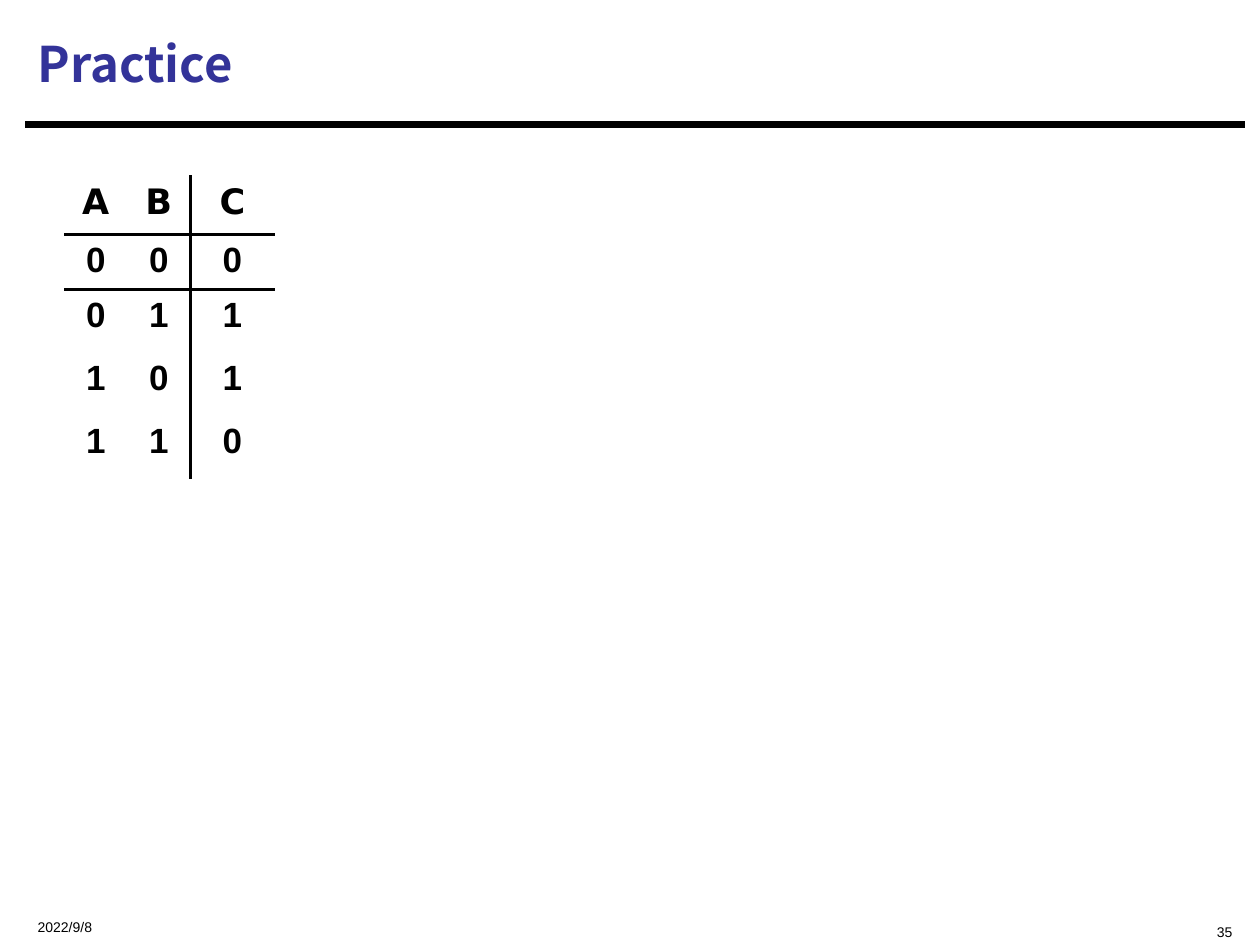
import pptx
import pptx.util
import pptx.dml.color
import pptx.enum.text
import pptx.oxml
import pptx.oxml.ns

Inches, Pt = pptx.util.Inches, pptx.util.Pt
Align, Anchor = pptx.enum.text.PP_ALIGN, pptx.enum.text.MSO_ANCHOR
WIDTH, HEIGHT = 10, 7.5
NO_STYLE = "{2D5ABB26-0587-4C30-8999-92F81FD0307C}"


def colour(value):
    return pptx.dml.color.RGBColor.from_string(value)


def apply(target, values):
    for name, value in values.items():
        setattr(target, name, value)


class Page:
    """The current slide and its style; places are shares of the slide's size."""

    ink, accent = "000000", "333399"
    rule_width, border_width = 3.75, 2.25
    title_font = {"name": "Noto Sans CJK SC", "size": Pt(28), "bold": True}
    footer_font = {"name": "Arial", "size": Pt(8), "bold": False}
    head_font = {"name": "DejaVu Sans", "size": Pt(20), "bold": True}
    cell_font = {"name": "Arial", "size": Pt(20), "bold": True}

    def __init__(self, deck):
        self.deck = deck
        self.slide = deck.slides.add_slide(deck.slide_layouts[5])

    def place(self, x, y, w, h):
        across, down = self.deck.slide_width, self.deck.slide_height
        return [int(part) for part in (x * across, y * down, w * across, h * down)]

    def add_text(self, para, text, font, ink, align=Align.LEFT):
        para.alignment = align
        span = para.add_run()
        span.text = text
        apply(span.font, font)
        span.font.color.rgb = colour(ink)

    def title(self, text, *area):
        box = self.slide.shapes.title
        apply(box, dict(zip(("left", "top", "width", "height"), self.place(*area))))
        apply(box.text_frame, {"vertical_anchor": Anchor.MIDDLE, "word_wrap": True})
        self.add_text(box.text_frame.paragraphs[0], text, self.title_font, self.accent)

    def rule(self, x, y, w):
        left, top, width, _ = self.place(x, y, w, 0)
        line = self.slide.shapes.add_connector(1, left, top, left + width, top)
        line.line.width = Pt(self.rule_width)
        line.line.color.rgb = colour(self.ink)
        line._element.spPr.append(pptx.oxml.parse_xml(
            f"<a:effectLst {pptx.oxml.ns.nsdecls('a')}/>"))

    def footer(self, text, area, inset, align=Align.LEFT):
        box = self.slide.shapes.add_textbox(*self.place(*area))
        apply(box.text_frame, {"word_wrap": True, "vertical_anchor": Anchor.TOP,
                               "margin_top": Inches(inset), "margin_bottom": 0})
        self.add_text(box.text_frame.paragraphs[0], text, self.footer_font, self.ink, align)

    def borders(self, cell, sides):
        for side in sides:
            cell._tc.get_or_add_tcPr().append(pptx.oxml.parse_xml(
                f"<a:ln{side} {pptx.oxml.ns.nsdecls('a')} w='{int(Pt(self.border_width))}'>"
                f"<a:solidFill><a:srgbClr val='{self.ink}'/></a:solidFill></a:ln{side}>"))

    def truth_table(self, rows, x, y, widths, heights):
        area = self.place(x, y, sum(widths) / WIDTH, sum(heights) / HEIGHT)
        frame = self.slide.shapes.add_table(len(rows), len(widths), *area)
        table = frame.table
        apply(table, {"first_row": False, "horz_banding": False})
        table._tbl.tblPr.find(pptx.oxml.ns.qn("a:tableStyleId")).text = NO_STYLE
        for column, width in zip(table.columns, widths):
            column.width = Inches(width)
        for row, height in zip(table.rows, heights):
            row.height = Inches(height)
        output = len(widths) - 1
        for r, values in enumerate(rows):
            for c, value in enumerate(values):
                cell = table.cell(r, c)
                # One line sets off the output column, one the header row
                edges = {"L": c == output, "R": c == output - 1, "T": r == 1, "B": r == 0}
                self.borders(cell, [side for side, shown in edges.items() if shown])
                cell.fill.background()
                self.add_text(cell.text_frame.paragraphs[0], value,
                              self.cell_font if r else self.head_font, self.ink, Align.CENTER)


def main():
    deck = pptx.Presentation()
    apply(deck, {"slide_width": Inches(WIDTH), "slide_height": Inches(HEIGHT)})
    page = Page(deck)

    # Heading
    page.rule(0.02, 0.99 / HEIGHT, 0.968)
    page.title("Practice", 0.02, 0.08 / HEIGHT, 0.967, 0.84 / HEIGHT)

    # Truth table of exclusive or
    inputs = [(a, b) for a in (0, 1) for b in (0, 1)]
    rows = ["ABC"] + [f"{a}{b}{a ^ b}" for a, b in inputs]
    page.truth_table(rows, 0.051, 1.39 / HEIGHT,
                     [0.5, 0.5, 0.67], [0.47, 0.44, 0.5, 0.5, 0.5])

    # Date and page number
    top, height = 7.17 / HEIGHT, 0.25 / HEIGHT
    page.footer("2022/9/8", (0.02, top, 0.25, height), 0.12)
    page.footer("35", (0.688, top, 0.3, height), 0.18, Align.RIGHT)

    deck.save("out.pptx")


if __name__ == "__main__":
    main()
